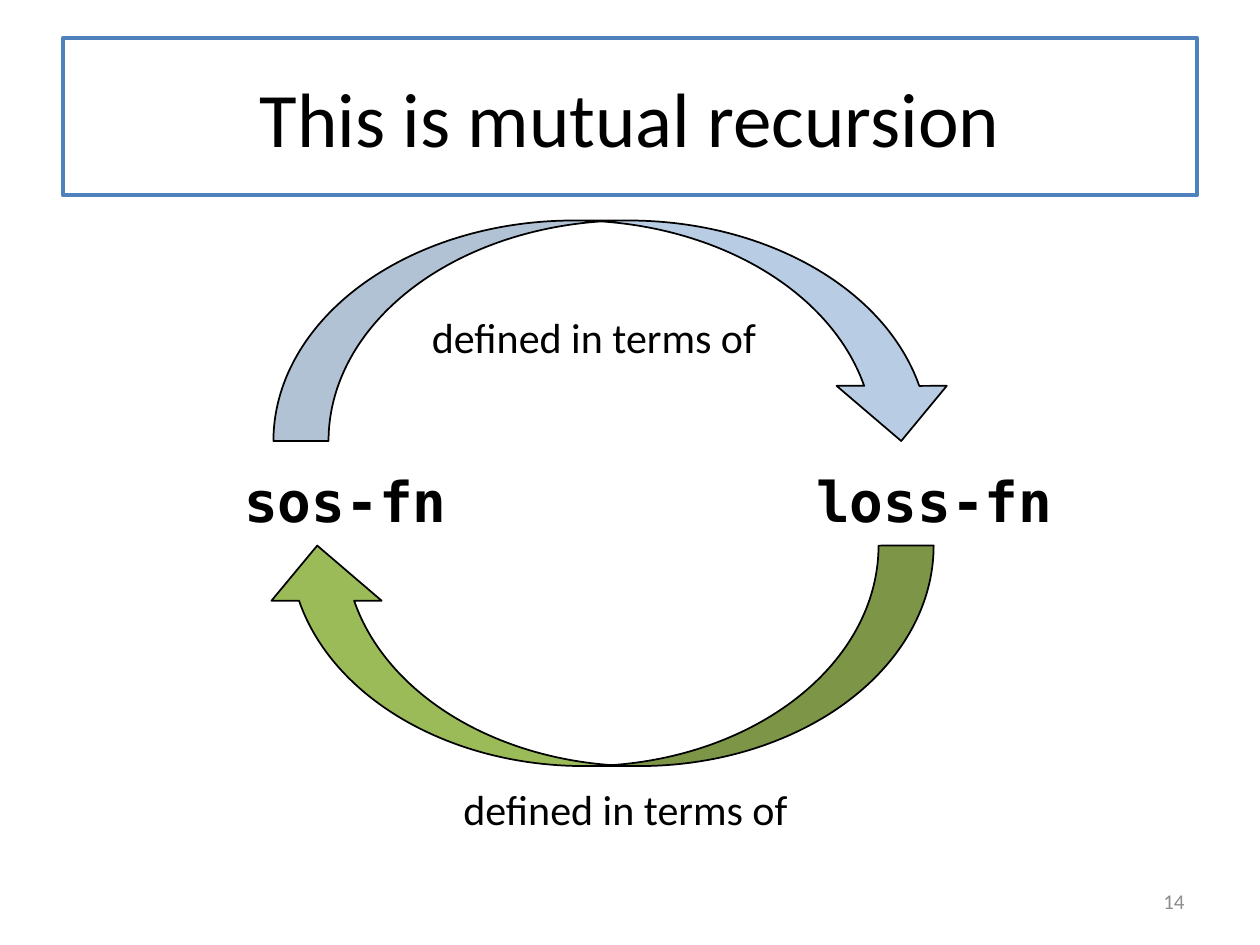
from dataclasses import dataclass

from lxml import etree
from pptx import Presentation
from pptx.dml.color import RGBColor
from pptx.enum import shapes, text
from pptx.oxml.ns import qn
from pptx.util import Inches, Pt

COLORS = {
    "paper": "FFFFFF",
    "ink": "000000",
    "frame": "4F81BD",
    "green": "9BBB59",
    "number": "8C8C8C",
}


@dataclass
class Label:
    words: str
    left: float
    top: float
    width: float
    height: float
    size: float = 24
    font: str = "Calibri"
    bold: bool = False
    color: str = "ink"
    align: text.PP_ALIGN = text.PP_ALIGN.LEFT
    anchor: text.MSO_ANCHOR = text.MSO_ANCHOR.TOP


@dataclass
class Arrow:
    left: float
    top: float
    width: float
    height: float
    color: str
    rotation: float = 0
    opacity: int = 100


def rgb(name: str) -> RGBColor:
    return RGBColor.from_string(COLORS[name])


def place(shape, item) -> None:
    for side in ("left", "top", "width", "height"):
        setattr(shape, side, Inches(getattr(item, side)))


def write(shape, label: Label) -> None:
    frame = shape.text_frame
    frame.word_wrap = True
    frame.vertical_anchor = label.anchor
    para = frame.paragraphs[0]
    para.alignment = label.align
    span = para.add_run()
    span.text = label.words
    formats = {"name": label.font, "size": Pt(label.size), "bold": label.bold}
    for key, value in formats.items():
        setattr(span.font, key, value)
    span.font.color.rgb = rgb(label.color)


def paint(shape, fill: str, line: str, weight: float) -> None:
    shape.fill.solid()
    shape.fill.fore_color.rgb = rgb(fill)
    shape.line.color.rgb = rgb(line)
    shape.line.width = Pt(weight)


def draw_label(page, label: Label) -> None:
    box = page.shapes.add_textbox(0, 0, 0, 0)
    place(box, label)
    write(box, label)


def draw_arrow(page, arrow: Arrow) -> None:
    shape = page.shapes.add_shape(
        shapes.MSO_SHAPE.CURVED_DOWN_ARROW, 0, 0, 0, 0)
    place(shape, arrow)
    shape.rotation = arrow.rotation
    shape.shadow.inherit = False
    paint(shape, arrow.color, "ink", 1)
    if arrow.opacity < 100:
        color = shape.fill._xPr.find(qn("a:solidFill"))[0]
        alpha = etree.SubElement(color, qn("a:alpha"))
        alpha.set("val", str(arrow.opacity * 1000))


TITLE = Label("This is mutual recursion", 0.5, 0.3, 9, 1.25, size=44,
              align=text.PP_ALIGN.CENTER, anchor=text.MSO_ANCHOR.MIDDLE)
CODE = {"size": 32, "font": "DejaVu Sans Mono", "bold": True}
RELATION = "defined in terms of"
LABELS = [
    Label("sos-fn", 1.84, 3.65, 2.2, 0.65, **CODE),
    Label("loss-fn", 6.38, 3.65, 2.2, 0.65, **CODE),
    Label(RELATION, 3.33, 2.42, 3, 0.5),
    Label(RELATION, 3.58, 6.17, 3, 0.5),
    Label("14", 7.17, 6.95, 2.33, 0.4, size=12, color="number",
          align=text.PP_ALIGN.RIGHT, anchor=text.MSO_ANCHOR.MIDDLE),
]
ARROWS = [
    Arrow(2.17, 1.75, 5.42, 1.75, "frame", opacity=40),
    Arrow(2.08, 4.33, 5.33, 1.75, "green", rotation=180),
]


def main() -> None:
    deck = Presentation()
    deck.slide_width, deck.slide_height = Inches(10), Inches(7.5)
    page = deck.slides.add_slide(deck.slide_layouts[5])

    # Framed title
    title = page.shapes.title
    place(title, TITLE)
    paint(title, "paper", "frame", 2.25)
    write(title, TITLE)

    # Cycle between the two functions
    for arrow in ARROWS:
        draw_arrow(page, arrow)

    # Function names, relations and page number
    for label in LABELS:
        draw_label(page, label)

    deck.save("out.pptx")


if __name__ == "__main__":
    main()
